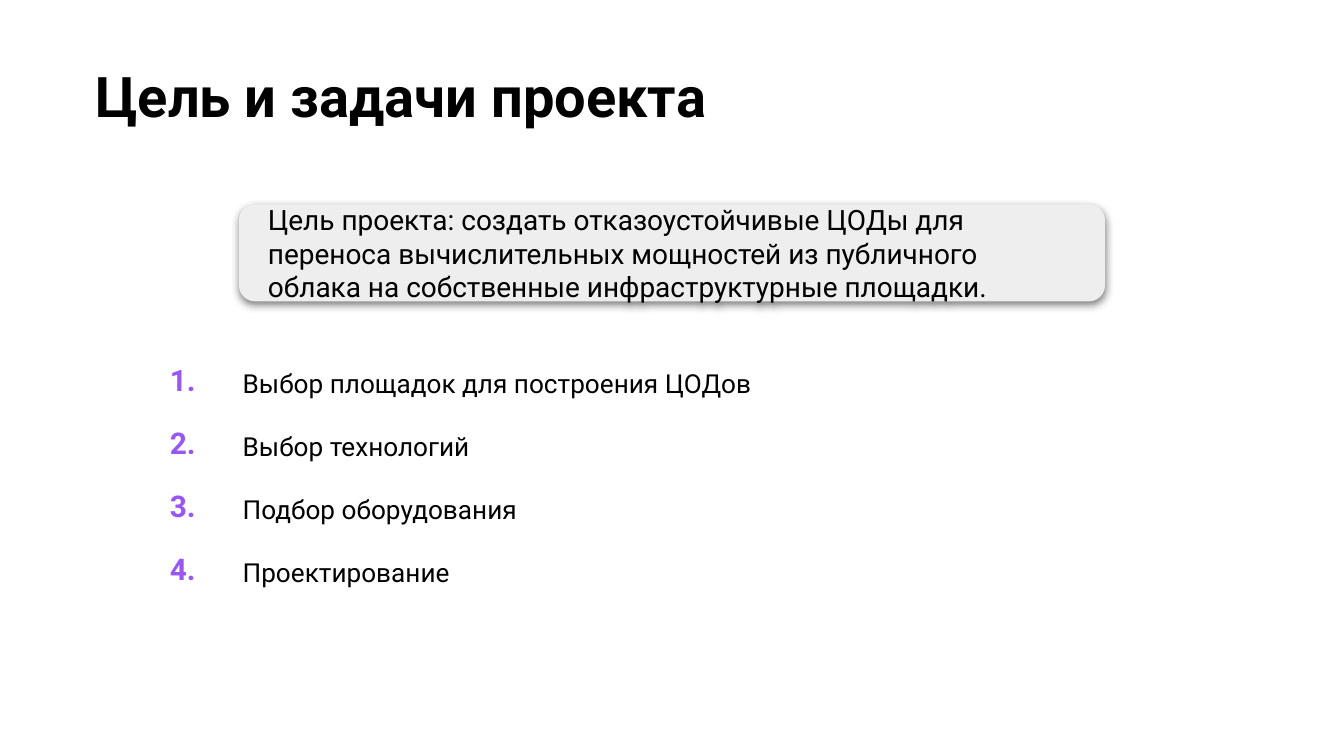
from lxml import etree
from pptx import Presentation
from pptx.dml.color import RGBColor
from pptx.enum import shapes, text
from pptx.oxml import ns
from pptx.util import Pt

COLORS = {"ink": "000000", "accent": "9857F3", "panel": "EEEEEE"}
FONT = "Roboto"
TASKS = [
    "Выбор площадок для построения ЦОДов",
    "Выбор технологий",
    "Подбор оборудования",
    "Проектирование",
]


def write(frame, content, size=14, color="ink", bold=False, spacing=None):
    paragraph = frame.paragraphs[0]
    run = paragraph.add_run()
    run.text = content
    run.font.name = FONT
    run.font.size = Pt(size)
    run.font.bold = bold
    run.font.color.rgb = RGBColor.from_string(COLORS[color])
    paragraph.alignment = text.PP_ALIGN.LEFT
    if spacing:
        paragraph.line_spacing = spacing


class SlideBuilder:
    """Hold the style and the current slide, and add its elements."""

    def __init__(self, presentation):
        self.slide = presentation.slides.add_slide(presentation.slide_layouts[6])

    def prepare(self, frame, side):
        frame.word_wrap = True
        frame.margin_left = frame.margin_right = Pt(side)
        frame.margin_top = frame.margin_bottom = Pt(7.2)
        return frame

    def title(self, content, left, top, width, height):
        box = self.slide.shapes.add_textbox(Pt(left), Pt(top), Pt(width), Pt(height))
        write(self.prepare(box.text_frame, 7.2), content, size=30, bold=True)

    def panel(self, content, left, top, width, height):
        shape = self.slide.shapes.add_shape(
            shapes.MSO_SHAPE.ROUNDED_RECTANGLE, Pt(left), Pt(top), Pt(width), Pt(height))
        shape.fill.solid()
        shape.fill.fore_color.rgb = RGBColor.from_string(COLORS["panel"])
        shape.line.fill.background()
        self.shadow(shape)
        frame = self.prepare(shape.text_frame, 13)
        frame.vertical_anchor = text.MSO_ANCHOR.MIDDLE
        write(frame, content, size=15)

    def shadow(self, shape):
        shape.shadow.inherit = False
        effects = shape.element.spPr.find(ns.qn("a:effectLst"))
        outer = etree.SubElement(
            effects, ns.qn("a:outerShdw"), blurRad=str(Pt(4.5)), dist=str(Pt(1.5)),
            dir="5400000", algn="bl", rotWithShape="0")
        color = etree.SubElement(outer, ns.qn("a:srgbClr"), val=COLORS["ink"])
        etree.SubElement(color, ns.qn("a:alpha"), val="50000")

    def task_table(self, tasks, left, top, columns, rows):
        table = self.slide.shapes.add_table(
            len(rows), len(columns), Pt(left), Pt(top), Pt(sum(columns)), Pt(sum(rows))).table
        table.first_row = table.horz_banding = False
        for column, width in zip(table.columns, columns):
            column.width = Pt(width)
        for row, height in zip(table.rows, rows):
            row.height = Pt(height)
        for cell in table.iter_cells():
            cell.fill.background()
            cell.margin_left = Pt(16)
            cell.margin_right = cell.margin_top = cell.margin_bottom = Pt(7.2)
        for index, task in enumerate(tasks):
            write(table.cell(index, 0).text_frame, f"{index + 1}.", size=16, color="accent", bold=True)
            write(table.cell(index, 1).text_frame, task, spacing=1.15)


def main():
    presentation = Presentation()
    presentation.slide_width, presentation.slide_height = Pt(720), Pt(405)
    builder = SlideBuilder(presentation)
    builder.title("Цель и задачи проекта", 44, 26, 671, 103)
    builder.task_table(TASKS, 75, 188, columns=[39, 531], rows=[26, 26, 26, 55, 27])
    builder.panel(
        "Цель проекта: создать отказоустойчивые ЦОДы для переноса вычислительных мощностей "
        "из публичного облака на собственные инфраструктурные площадки.",
        128, 109.5, 464, 52)
    presentation.save("out.pptx")


if __name__ == "__main__":
    main()
